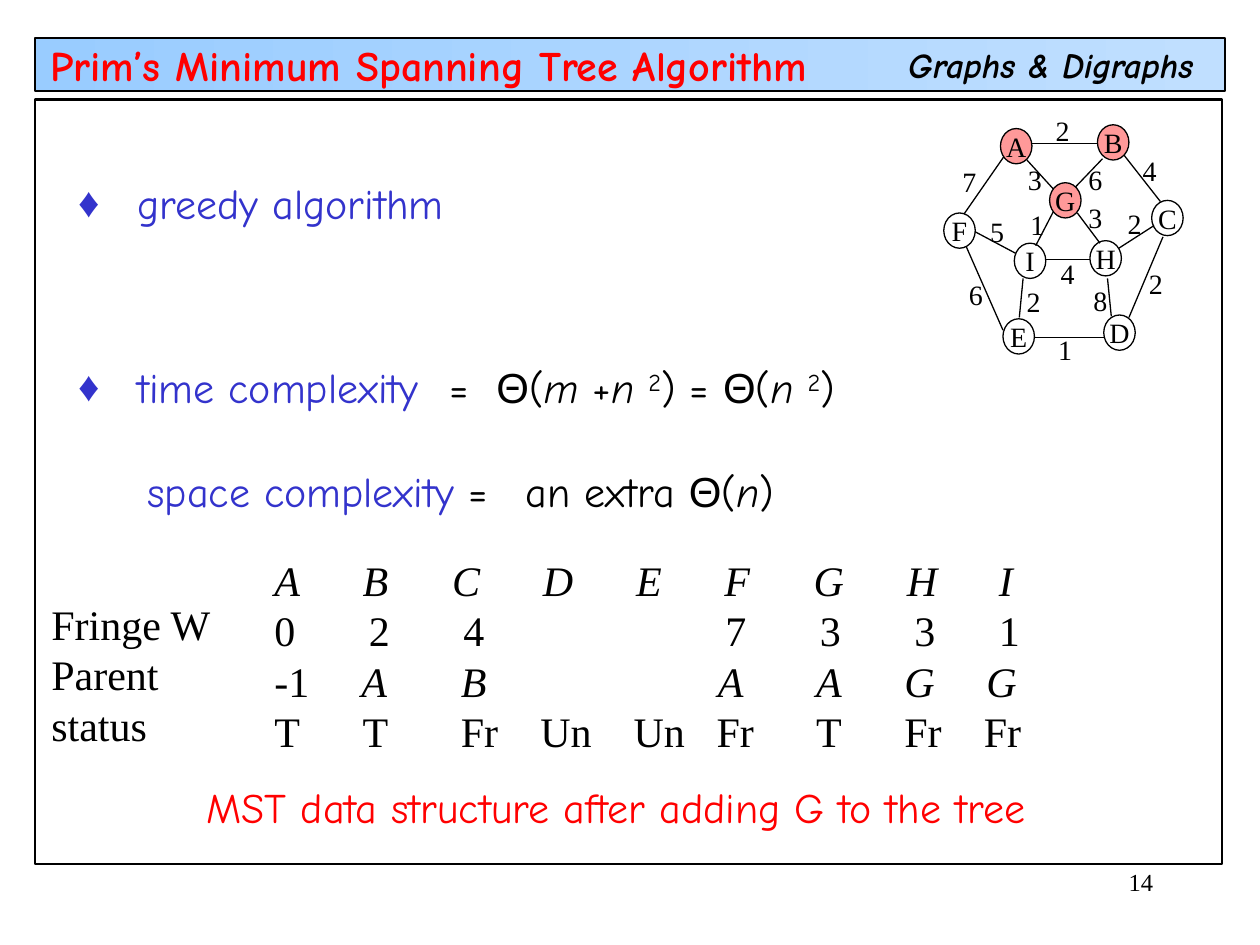
from lxml import etree
from pptx import Presentation
from pptx.dml.color import RGBColor
from pptx.enum import shapes, text
from pptx.oxml import ns
from pptx.util import Inches, Pt

BLACK = RGBColor(0x00, 0x00, 0x00)
RED = RGBColor(0xFF, 0x00, 0x00)
BLUE = RGBColor(0x33, 0x33, 0xCC)
PINK = RGBColor(0xFF, 0x99, 0x99)
BAND_LEFT = RGBColor(0x99, 0xCC, 0xFF)
BAND_RIGHT = RGBColor(0xC0, 0xDF, 0xFF)
COMIC, TIMES, ARIAL = "Comic Neue", "Times New Roman", "Arial"


def add_span(para, words, color=BLACK, **values):
    span = para.add_run()
    span.text = words
    span.font.color.rgb = color
    for name, value in {"name": COMIC, "size": Pt(24), **values}.items():
        setattr(span.font, name, value)
    return span


def set_tabs(para, stops):
    tab_list = etree.SubElement(para._p.get_or_add_pPr(), ns.qn("a:tabLst"))
    for stop in stops:
        etree.SubElement(tab_list, ns.qn("a:tab"), pos=str(Inches(stop)), algn="l")


deck = Presentation()
deck.slide_width, deck.slide_height = Inches(10), Inches(7.5)
page = deck.slides.add_slide(deck.slide_layouts[1])
tree = page.shapes

# Header band and content frame
for top, width, height in [(0.3, 9.44, 0.42), (0.79, 9.42, 6.07)]:
    frame = tree.add_shape(shapes.MSO_SHAPE.RECTANGLE, Inches(0.28), Inches(top),
                           Inches(width), Inches(height))
    frame.shadow.inherit = False
    frame.line.color.rgb = BLACK
    frame.line.width = Pt(1.25)
    if top == 0.3:
        frame.fill.gradient()
        frame.fill.gradient_angle = 0
        for stop, color in zip(frame.fill.gradient_stops, (BAND_LEFT, BAND_RIGHT)):
            stop.color.rgb = color
    else:
        frame.fill.background()

# Title and body placeholders, brought in front of the frames
title, body = tree.title, page.placeholders[1]
for holder, place in [(title, (0.3, 0.37, 6.79, 0.29)), (body, (0.52, 0.84, 9.05, 3.76))]:
    holder.left, holder.top, holder.width, holder.height = map(Inches, place)
    holder.text_frame.auto_size = text.MSO_AUTO_SIZE.NONE
    tree._spTree.append(holder._element)
title.text_frame.vertical_anchor = text.MSO_ANCHOR.MIDDLE
title.text_frame.margin_top = title.text_frame.margin_bottom = 0
title_para = title.text_frame.paragraphs[0]
title_para.alignment = text.PP_ALIGN.LEFT
add_span(title_para, "Prim’s Minimum Spanning Tree Algorithm", RED, bold=True)

# Body list: space before, left indent, bullet, tab stops, spans
ITALIC, RAISED, THETA = {"italic": True}, {"raised": True}, {"name": ARIAL}
lines = [
    (0, 0.47, True, [], [("greedy algorithm", {"color": BLUE})]),
    (76.5, 0.47, True, [2.95, 3.32],
     [("time complexity", {"color": BLUE}), ("\t=\t", {}), ("Θ", THETA), ("(", {}),
      ("m ", ITALIC), ("+", {}), ("n ", ITALIC), ("2", RAISED), (") = ", {}),
      ("Θ", THETA), ("(", {}), ("n ", ITALIC), ("2", RAISED), (")", {})]),
    (30.5, 0.55, False, [3.48],
     [("space complexity", {"color": BLUE}), (" =\tan extra ", {}), ("Θ", THETA),
      ("(", {}), ("n", ITALIC), (")", {})]),
]
body.text_frame.margin_top = Inches(0.57)
for index, (before, indent, bulleted, stops, spans) in enumerate(lines):
    para = body.text_frame.paragraphs[0] if index == 0 else body.text_frame.add_paragraph()
    para.space_before = Pt(before)
    props = para._p.get_or_add_pPr()
    props.set("marL", str(Inches(indent)))
    props.set("indent", str(-Inches(indent) if bulleted else 0))
    if bulleted:
        bullet_color = etree.SubElement(props, ns.qn("a:buClr"))
        etree.SubElement(bullet_color, ns.qn("a:srgbClr"), val=str(BLUE))
        etree.SubElement(props, ns.qn("a:buChar"), char="♦")
    else:
        etree.SubElement(props, ns.qn("a:buNone"))
    if stops:
        set_tabs(para, stops)
    for words, values in spans:
        values = dict(values)
        raised = values.pop("raised", False)
        span = add_span(para, words, **values)
        if raised:
            span.font._element.set("baseline", "30000")

# Plain text boxes: place, lines, alignment, format
LEFT, RIGHT = text.PP_ALIGN.LEFT, text.PP_ALIGN.RIGHT
captions = [
    ((7.11, 0.3, 2.48, 0.44), ["Graphs & Digraphs"], LEFT,
     {"size": Pt(20), "bold": True, "italic": True}),
    ((7.92, 6.83, 1.33, 0.5), ["14"], RIGHT, {"name": TIMES, "size": Pt(14)}),
    ((0.31, 4.7, 1.47, 1.3), ["Fringe W", "Parent", "status"], LEFT, {"name": TIMES}),
    ((1.54, 6.15, 6.74, 0.5), ["MST data structure after adding G to the tree"], LEFT,
     {"color": RED}),
]
weights = [
    (7.54, 1.26, "7"), (7.59, 2.15, "6"), (7.76, 1.65, "5"), (8.08, 1.6, "1"),
    (8.06, 1.24, "3"), (8.28, 0.85, "2"), (8.54, 1.24, "6"), (8.97, 1.17, "4"),
    (8.85, 1.59, "2"), (9.02, 2.07, "2"), (8.3, 2.59, "1"), (8.05, 2.21, "2"),
    (8.32, 1.99, "4"), (8.58, 2.2, "8"), (8.54, 1.54, "3"),
]
captions += [((left, top, 0.31, 0.37), [weight], LEFT, {"name": TIMES, "size": Pt(16)})
             for left, top, weight in weights]
for place, rows, alignment, values in captions:
    box = tree.add_textbox(*map(Inches, place))
    box.text_frame.word_wrap = alignment == RIGHT
    for index, words in enumerate(rows):
        para = box.text_frame.paragraphs[0] if index == 0 else box.text_frame.add_paragraph()
        para.alignment = alignment
        add_span(para, words, **values)

# Vertex data: one tabbed line per field, italic from the given column on
fields = [
    ("A B C D E F G H I", 0, [0.7, 1.41, 2.13, 2.87, 3.57, 4.28, 5.02, 5.75]),
    ("0 2 4 7 3 3 1", 9, [0.75, 1.5, 3.58, 4.33, 5.08, 5.75]),
    ("-1 A B A A G G", 1, [0.69, 1.48, 3.52, 4.3, 5, 5.65]),
    ("T T Fr Un Un Fr T Fr Fr", 9, [0.7, 1.48, 2.11, 2.85, 3.51, 4.3, 5, 5.63]),
]
box = tree.add_textbox(Inches(2.08), Inches(4.35), Inches(6.14), Inches(1.7))
box.text_frame.word_wrap = False
for index, (cells, first_italic, stops) in enumerate(fields):
    para = box.text_frame.paragraphs[0] if index == 0 else box.text_frame.add_paragraph()
    set_tabs(para, stops)
    for column, cell in enumerate(cells.split()):
        add_span(para, "\t" + cell if column else cell, name=TIMES,
                 italic=column >= first_italic)

# Graph edges
edges = [
    (7.65, 1.7, 7.97, 1.24), (8.18, 1.14, 8.71, 1.14), (7.67, 1.96, 7.96, 2.62),
    (8.92, 1.23, 9.21, 1.6), (9.23, 1.88, 8.96, 2.52), (8.21, 2.68, 8.77, 2.68),
    (8.15, 1.27, 8.36, 1.5), (8.75, 1.26, 8.53, 1.49), (8.36, 1.68, 8.22, 1.95),
    (8.55, 1.69, 8.73, 1.93), (8.29, 2.06, 8.65, 2.06), (7.74, 1.84, 8.06, 2.01),
    (9.16, 1.79, 8.88, 1.97), (8.12, 2.21, 8.09, 2.52), (8.79, 2.21, 8.82, 2.51),
]
for ends in edges:
    edge = tree.add_connector(shapes.MSO_CONNECTOR.STRAIGHT, *map(Inches, ends))
    edge.line.color.rgb = BLACK
    edge.line.width = Pt(0.75)
    etree.SubElement(edge._element.spPr, ns.qn("a:effectLst"))

# Graph vertices, with those already in the tree filled
vertices = {
    "A": (7.94, 1.02), "F": (7.49, 1.69), "I": (8.05, 1.93), "G": (8.33, 1.45),
    "H": (8.65, 1.91), "C": (9.14, 1.59), "E": (7.96, 2.53), "D": (8.76, 2.5),
    "B": (8.71, 0.99),
}
for name, (left, top) in vertices.items():
    vertex = tree.add_shape(shapes.MSO_SHAPE.OVAL, Inches(left), Inches(top),
                            Inches(0.25), Inches(0.28))
    vertex.shadow.inherit = False
    vertex.line.color.rgb = BLACK
    vertex.line.width = Pt(0.75)
    if name in "ABG":
        vertex.fill.solid()
        vertex.fill.fore_color.rgb = PINK
    else:
        vertex.fill.background()
    vertex.text_frame.word_wrap = False
    vertex.text_frame.vertical_anchor = text.MSO_ANCHOR.MIDDLE
    para = vertex.text_frame.paragraphs[0]
    para.alignment = text.PP_ALIGN.CENTER
    add_span(para, name, name=TIMES, size=Pt(16))

deck.save("out.pptx")
